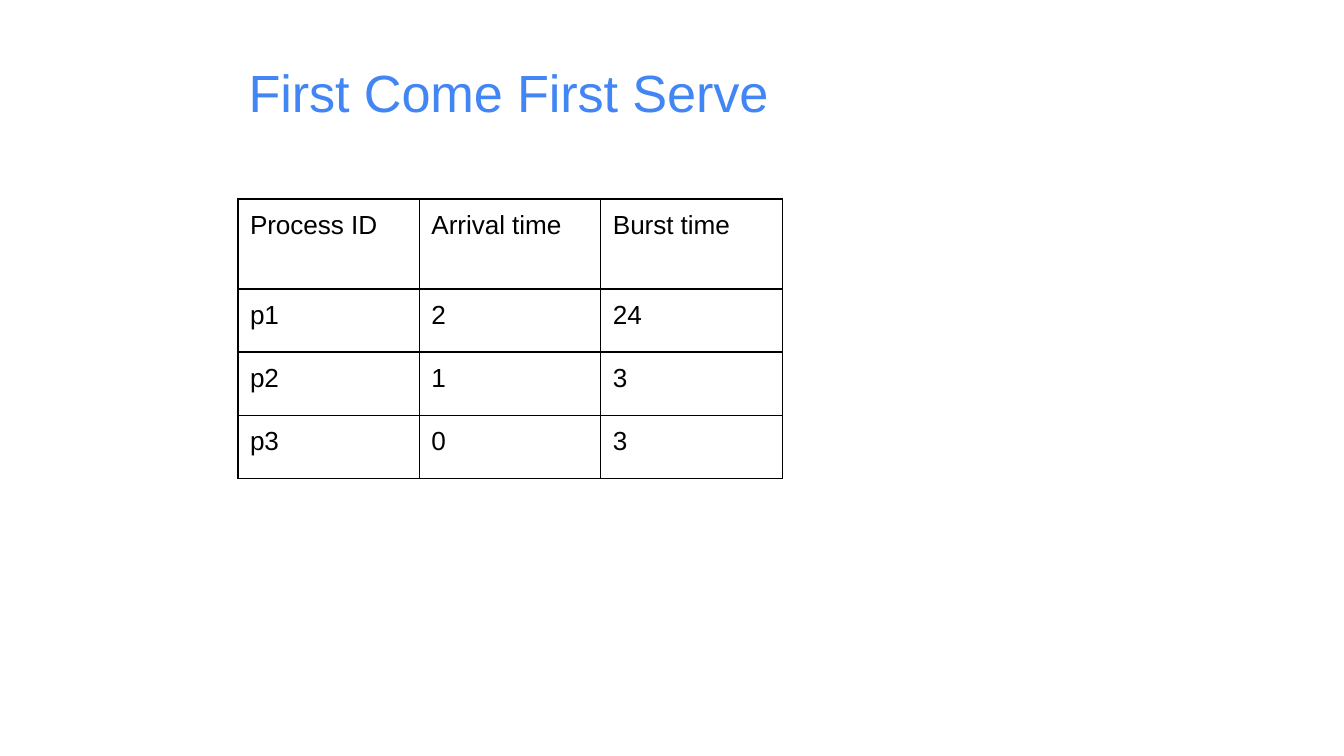
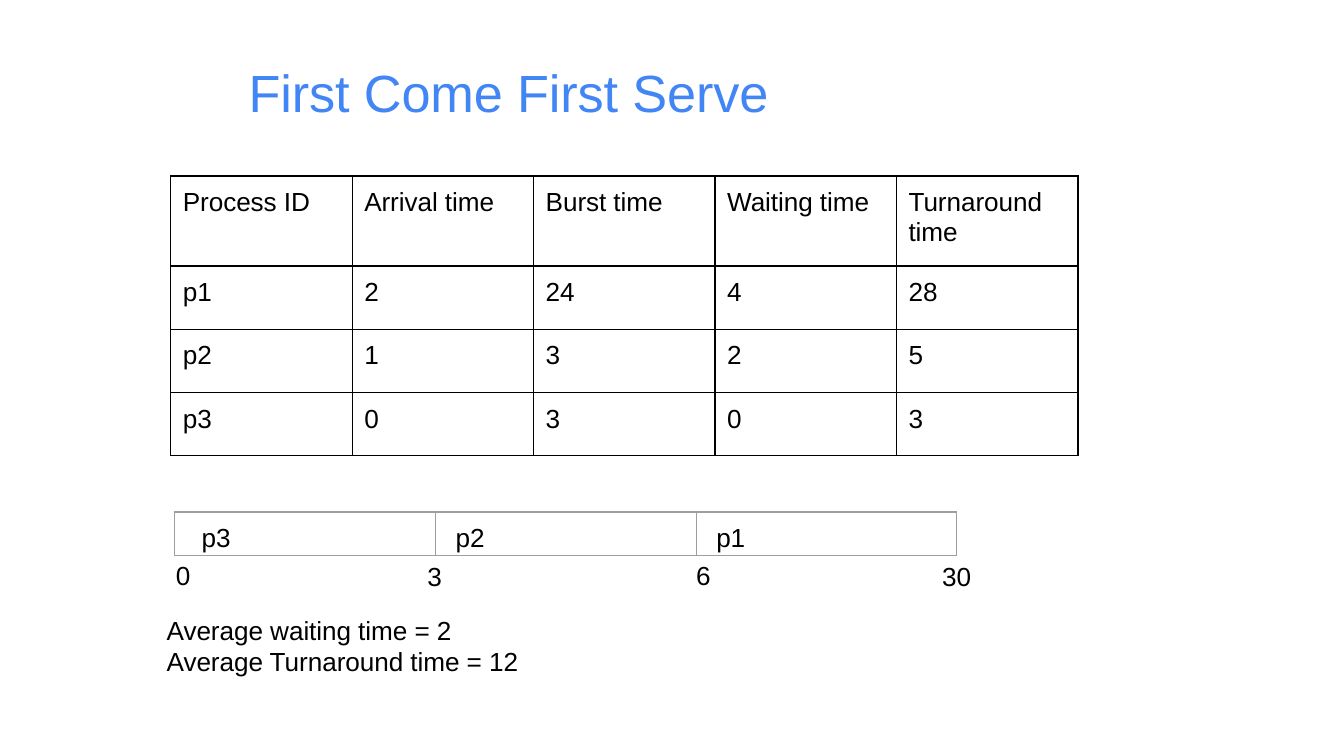
import dataclasses
import typing

import pptx
import pptx.dml.color
import pptx.enum.text
import pptx.oxml
import pptx.oxml.ns
import pptx.presentation
import pptx.slide
import pptx.util

Inches = pptx.util.Inches
Pt = pptx.util.Pt

COLORS = {"title": "4285F4", "text": "000000", "grid": "000000", "bar": "9E9E9E"}
WIDTH = 10
TITLE = "First Come First Serve"
HEADS = ["Process ID", "Arrival time", "Burst time", "Waiting time", "Turnaround  time"]
JOBS = [
    ["p1", "2", "24", "4", "28"],
    ["p2", "1", "3", "2", "5"],
    ["p3", "0", "3", "0", "3"],
]
COL = 1.35
ROWS = [0.67, 0.47, 0.47, 0.47]


@dataclasses.dataclass
class Grid:
    left: float
    top: float
    col: float
    rows: list[float]
    cells: list[list[str]]
    line: str = "grid"
    pads: tuple[float, ...] = ()


@dataclasses.dataclass
class Label:
    left: float
    top: float
    width: float
    height: float
    text: str


CHART = Grid(1.3, 3.81, 1.94, [0.32], [["p3", "p2", "p1"]], "bar", (0.2, 0.15, 0.15))
LABELS = [
    Label(1.23, 4.56, 2.65, 0.49, "Average waiting time = 2\nAverage Turnaround time = 12"),
    Label(1.3, 4.15, 0.14, 0.26, "0"),
    Label(3.17, 4.16, 0.14, 0.26, "3"),
    Label(5.17, 4.15, 0.14, 0.26, "6"),
    Label(7, 4.16, 0.24, 0.26, "30"),
]


def apply(target: typing.Any, values: dict[str, typing.Any]) -> None:
    for name, value in values.items():
        setattr(target, name, value)


def style(frame: typing.Any, size: float, color: str, pad: float = 0, before: float = 0) -> None:
    """Format all text; pad is the indent in inches, before the first gap in points."""
    for para in frame.paragraphs:
        para.alignment = pptx.enum.text.PP_ALIGN.LEFT
        para._p.get_or_add_pPr().set("marL", str(Inches(pad)))
        for run in para.runs:
            apply(run.font, {"name": "Arial", "size": Pt(size)})
            run.font.color.rgb = pptx.dml.color.RGBColor.from_string(COLORS[color])
            run._r.get_or_add_rPr().set("spc", "-5" if len(run.text) > 1 else "0")
    frame.paragraphs[0].space_before = Pt(before)


def frame_cell(cell: typing.Any, color: str) -> None:
    """Give a cell four thin borders and no fill."""
    props = cell._tc.get_or_add_tcPr()
    for side in "LRTB":
        props.append(pptx.oxml.parse_xml(
            f'<a:ln{side} {pptx.oxml.ns.nsdecls("a")} w="{Pt(0.75)}"><a:solidFill>'
            f'<a:srgbClr val="{COLORS[color]}"/></a:solidFill></a:ln{side}>'))
    cell.fill.background()


def add_grid(slide: pptx.slide.Slide, grid: Grid) -> None:
    count = len(grid.cells[0])
    table = slide.shapes.add_table(
        len(grid.rows), count, Inches(grid.left), Inches(grid.top),
        Inches(grid.col * count), Inches(sum(grid.rows))).table
    apply(table, {"first_row": False, "horz_banding": False})
    for col in table.columns:
        col.width = Inches(grid.col)
    pads = grid.pads or (0.09,) * count
    for r, (height, texts) in enumerate(zip(grid.rows, grid.cells)):
        table.rows[r].height = Inches(height)
        for c, (text, pad) in enumerate(zip(texts, pads)):
            cell = table.cell(r, c)
            apply(cell, {"margin_left": 0, "margin_top": Inches(0.09),
                         "margin_right": 0, "margin_bottom": 0})
            cell.text_frame.text = text
            style(cell.text_frame, 14, "text", pad, 6.2)
            frame_cell(cell, grid.line)


def add_label(slide: pptx.slide.Slide, label: Label) -> None:
    box = slide.shapes.add_textbox(
        Inches(label.left), Inches(label.top), Inches(label.width), Inches(label.height))
    frame = box.text_frame
    apply(frame, {"margin_left": 0, "margin_top": Inches(0.01), "margin_right": 0,
                  "margin_bottom": 0, "word_wrap": True, "text": label.text,
                  "auto_size": pptx.enum.text.MSO_AUTO_SIZE.SHAPE_TO_FIT_TEXT})
    style(frame, 14, "text", 0.01, 1)


def add_page(deck: pptx.presentation.Presentation) -> pptx.slide.Slide:
    slide = deck.slides.add_slide(deck.slide_layouts[5])
    title = slide.shapes.title
    apply(title, {"left": Inches(1.75), "top": Inches(0.4),
                  "width": Inches(4.98), "height": Inches(0.57)})
    apply(title.text_frame, {
        "text": TITLE, "word_wrap": True,
        "vertical_anchor": pptx.enum.text.MSO_ANCHOR.TOP,
        "auto_size": pptx.enum.text.MSO_AUTO_SIZE.SHAPE_TO_FIT_TEXT})
    style(title.text_frame, 28, "title")
    return slide


def main() -> None:
    deck = pptx.Presentation()
    apply(deck, {"slide_width": Inches(WIDTH), "slide_height": Inches(WIDTH * 9 / 16)})
    cells = [HEADS, *JOBS]

    task = add_page(deck)
    add_grid(task, Grid(1.77, 1.48, COL, ROWS, [row[:3] for row in cells]))

    result = add_page(deck)
    add_grid(result, Grid(1.27, 1.31, COL, ROWS, cells))
    add_grid(result, CHART)
    for label in LABELS:
        add_label(result, label)

    deck.save("out.pptx")


if __name__ == "__main__":
    main()
